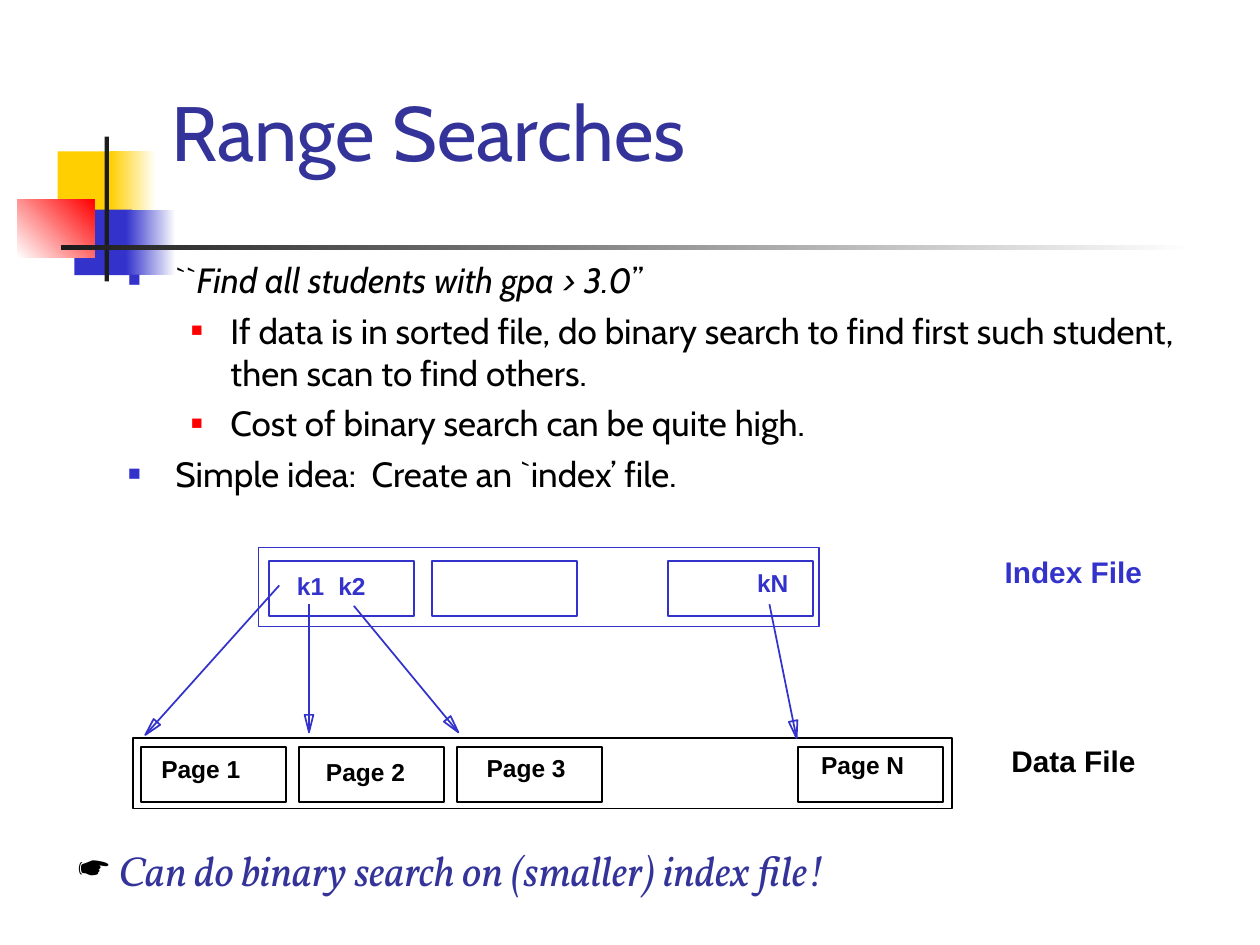
from dataclasses import dataclass
from math import atan2, cos, sin

from lxml.etree import SubElement
from pptx import Presentation
from pptx.dml.color import RGBColor
from pptx.enum.shapes import MSO_CONNECTOR, MSO_SHAPE
from pptx.enum.text import MSO_ANCHOR, MSO_AUTO_SIZE, PP_ALIGN
from pptx.oxml.ns import qn
from pptx.util import Pt


@dataclass(frozen=True)
class Theme:
    ink: str = "000000"
    blue: str = "3333CC"
    title: str = "333399"
    red: str = "FF0000"
    yellow: str = "FFCF01"
    charcoal: str = "1C1C1C"
    white: str = "FFFFFF"
    heading_font: str = "Cabin"
    note_font: str = "Vollkorn"
    label_font: str = "Arial"
    title_size: int = 44
    body_size: int = 20
    note_size: int = 24
    caption_size: int = 17
    label_size: int = 14


@dataclass(frozen=True)
class Block:
    left: float
    top: float
    width: float
    height: float
    color: str
    fade: str = ""
    angle: float = 0


@dataclass(frozen=True)
class Label:
    text: str
    left: float
    top: float
    width: float
    color: str
    size: int


@dataclass(frozen=True)
class Arrow:
    start: tuple[float, float]
    end: tuple[float, float]


@dataclass(frozen=True)
class Bullet:
    runs: tuple[tuple[str, bool], ...]
    level: int = 0


THEME = Theme()

ORNAMENTS = [
    Block(33, 86.5, 34.5, 37.5, THEME.yellow),
    Block(63, 86.5, 26, 37.5, THEME.yellow, THEME.white),
    Block(42.5, 119.8, 33, 37.5, THEME.blue),
    Block(72, 119.8, 28.5, 37.5, THEME.blue, THEME.white),
    Block(10, 113.8, 44, 33.3, THEME.white, THEME.red, 45),
    Block(59.8, 78, 2.4, 82.8, THEME.charcoal),
    Block(34.8, 140.2, 648, 2.4, THEME.charcoal, THEME.white),
]

BULLETS = [
    Bullet((("``", False), ("Find all students with gpa > 3.0", True), ("’’", False))),
    Bullet((("If data is in sorted file, do binary search to find first such student, "
             "then scan to find others.", False),), 1),
    Bullet((("Cost of binary search can be quite high.", False),), 1),
    Bullet((("Simple idea:  Create an `index’ file.", False),)),
]

CELL_WIDTH, CELL_HEIGHT = 82.8, 31.4
PAGE_LEFT, PAGE_STEP = 80.6, 90.3
DATA_CELLS = [(PAGE_LEFT + PAGE_STEP * i, 426.8) for i in range(3)] + [(456.2, 426.8)]
INDEX_CELLS = [(left, 320.6) for left in (153.8, 247, 381.8)]
DATA_FRAME = Block(76, 421.8, 468, 40.2, THEME.ink)
INDEX_FRAME = Block(147.8, 312.9, 320.2, 45.2, THEME.blue)

LABELS = [
    Label("Page 1", 85.1, 427.6, 64, THEME.ink, THEME.label_size),
    Label("Page 2", 179.2, 429.2, 64, THEME.ink, THEME.label_size),
    Label("Page 3", 271, 427, 64, THEME.ink, THEME.label_size),
    Label("Page N", 462.1, 425, 66, THEME.ink, THEME.label_size),
    Label("k1", 162.6, 322.9, 36, THEME.blue, THEME.label_size),
    Label("k2", 186.3, 322.9, 36, THEME.blue, THEME.label_size),
    Label("kN", 425.5, 321.2, 38, THEME.blue, THEME.label_size),
    Label("Data File", 570.8, 420.6, 90, THEME.ink, THEME.caption_size),
    Label("Index File", 567, 313, 97, THEME.blue, THEME.caption_size),
]

ARROWS = [
    Arrow((159.6, 334.5), (83, 420)),
    Arrow((176.6, 344.9), (176.6, 418.5)),
    Arrow((202.2, 346.2), (261.9, 418.5)),
    Arrow((439.7, 345.3), (455.2, 421.8)),
]


def rgb(color: str) -> RGBColor:
    """Turn a hex string into a colour."""
    return RGBColor.from_string(color)


def add_text(paragraph, text: str, *, font: str, size: float, color: str,
             bold: bool = False, italic: bool = False) -> None:
    """Append a formatted run to a paragraph."""
    run = paragraph.add_run()
    run.text = text
    run.font.name, run.font.size = font, Pt(size)
    run.font.bold, run.font.italic = bold, italic
    run.font.color.rgb = rgb(color)


def set_bullet(paragraph, character: str, color: str, percent: int,
               margin: float, hanging: float) -> None:
    """Give a paragraph a coloured bullet and a hanging indent."""
    properties = paragraph._p.get_or_add_pPr()
    properties.set("marL", str(Pt(margin)))
    properties.set("indent", str(-Pt(hanging)))
    SubElement(SubElement(properties, qn("a:buClr")), qn("a:srgbClr"), val=color)
    SubElement(properties, qn("a:buSzPct"), val=str(percent * 1000))
    SubElement(properties, qn("a:buChar"), char=character)


def place(shape, left: float, top: float, width: float, height: float) -> None:
    """Move and size a shape in points."""
    shape.left, shape.top = Pt(left), Pt(top)
    shape.width, shape.height = Pt(width), Pt(height)


def outline(shape, color: str) -> None:
    """Leave a shape hollow with a thin line."""
    shape.shadow.inherit = False
    shape.fill.background()
    shape.line.color.rgb = rgb(color)
    shape.line.width = Pt(1)


def add_rectangle(slide, block: Block):
    """Add a bare rectangle at the place of a block."""
    return slide.shapes.add_shape(MSO_SHAPE.RECTANGLE, Pt(block.left), Pt(block.top),
                                  Pt(block.width), Pt(block.height))


def add_ornament(slide, block: Block) -> None:
    """Draw a solid or fading rectangle without a line."""
    shape = add_rectangle(slide, block)
    shape.shadow.inherit = False
    shape.line.fill.background()
    if block.fade:
        shape.fill.gradient()
        shape.fill.gradient_angle = block.angle
        for stop, color in zip(shape.fill.gradient_stops, (block.color, block.fade)):
            stop.color.rgb = rgb(color)
    else:
        shape.fill.solid()
        shape.fill.fore_color.rgb = rgb(block.color)


def add_file(slide, frame: Block, cells: list[tuple[float, float]]) -> None:
    """Draw the cells of a file and the frame around them."""
    for left, top in cells:
        cell = Block(left, top, CELL_WIDTH, CELL_HEIGHT, frame.color)
        outline(add_rectangle(slide, cell), frame.color)
    outline(add_rectangle(slide, frame), frame.color)


def add_arrow(slide, arrow: Arrow, length: float = 10, half_width: float = 2.5) -> None:
    """Draw a line that ends in a hollow triangle."""
    (start_x, start_y), (x, y) = arrow.start, arrow.end
    connector = slide.shapes.add_connector(MSO_CONNECTOR.STRAIGHT, Pt(start_x), Pt(start_y), Pt(x), Pt(y))
    connector.line.color.rgb = rgb(THEME.blue)
    connector.line.width = Pt(1)
    SubElement(connector.element.spPr, qn("a:effectLst"))
    angle = atan2(y - start_y, x - start_x)
    corners = [(Pt(x - length * cos(angle) - side * sin(angle)),
                Pt(y - length * sin(angle) + side * cos(angle)))
               for side in (-half_width, half_width)]
    builder = slide.shapes.build_freeform(Pt(x), Pt(y))
    builder.add_line_segments(corners, close=True)
    outline(builder.convert_to_shape(), THEME.blue)


def add_label(slide, label: Label) -> None:
    """Add a bold one-line label."""
    box = slide.shapes.add_textbox(Pt(label.left), Pt(label.top), Pt(label.width), Pt(label.size * 1.2 + 7))
    box.text_frame.word_wrap = True
    add_text(box.text_frame.paragraphs[0], label.text, font=THEME.label_font,
             size=label.size, color=label.color, bold=True)


def fill_placeholders(slide) -> None:
    """Write the title and the bullet list above the ornaments."""
    title, body = slide.shapes.title, slide.placeholders[1]
    for shape in (title, body):
        slide.shapes.element.append(shape.element)
        shape.text_frame.auto_size = MSO_AUTO_SIZE.NONE
    place(title, 90.7, 16.9, 613.4, 115.2)
    title.text_frame.vertical_anchor = MSO_ANCHOR.MIDDLE
    heading = title.text_frame.paragraphs[0]
    heading.alignment = PP_ALIGN.LEFT
    add_text(heading, "Range Searches", font=THEME.heading_font, size=THEME.title_size, color=THEME.title)
    place(body, 66, 144, 624.2, 396)
    styles = [(THEME.blue, 60, 27, 27), (THEME.red, 55, 58.5, 22.5)]
    for index, bullet in enumerate(BULLETS):
        paragraph = body.text_frame.add_paragraph() if index else body.text_frame.paragraphs[0]
        paragraph.level = bullet.level
        set_bullet(paragraph, "■", *styles[bullet.level])
        paragraph.space_before = Pt(5 if index else 0)
        for text, italic in bullet.runs:
            add_text(paragraph, text, font=THEME.heading_font, size=THEME.body_size,
                     color=THEME.ink, italic=italic)


def add_conclusion(slide) -> None:
    """Add the closing remark with its upright pointing hand."""
    box = slide.shapes.add_textbox(Pt(37.4), Pt(478.8), Pt(531.4), Pt(36))
    box.text_frame.word_wrap = True
    paragraph = box.text_frame.paragraphs[0]
    set_bullet(paragraph, "☛", THEME.ink, 100, 0, 0)
    style = {"font": THEME.note_font, "size": THEME.note_size}
    add_text(paragraph, " ", color=THEME.ink, **style)
    add_text(paragraph, "Can do binary search on (smaller) index file!",
             color=THEME.title, italic=True, **style)


def main() -> None:
    """Build the slide and save it."""
    presentation = Presentation()
    presentation.slide_width, presentation.slide_height = Pt(720), Pt(540)
    slide = presentation.slides.add_slide(presentation.slide_layouts[1])
    for block in ORNAMENTS:
        add_ornament(slide, block)
    fill_placeholders(slide)
    add_conclusion(slide)
    add_file(slide, DATA_FRAME, DATA_CELLS)
    add_file(slide, INDEX_FRAME, INDEX_CELLS)
    for arrow in ARROWS:
        add_arrow(slide, arrow)
    for label in LABELS:
        add_label(slide, label)
    presentation.save("out.pptx")


if __name__ == "__main__":
    main()
